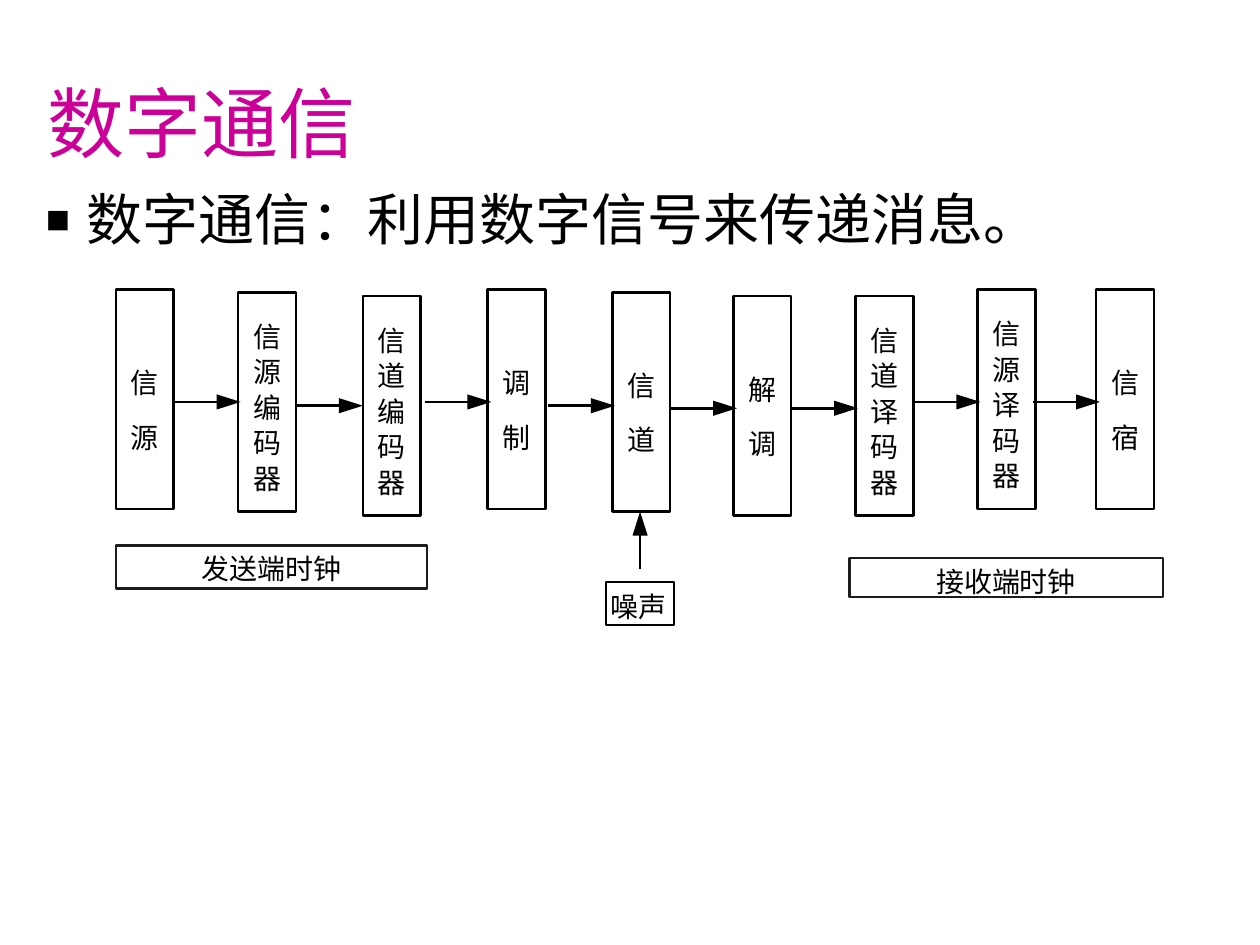
from dataclasses import dataclass

from lxml.etree import SubElement
from pptx import Presentation
from pptx.dml.color import RGBColor
from pptx.enum.shapes import MSO_CONNECTOR, MSO_SHAPE
from pptx.enum.text import MSO_ANCHOR, MSO_AUTO_SIZE, PP_ALIGN
from pptx.oxml.ns import qn
from pptx.util import Inches, Pt

BLACK, WHITE, MAGENTA, CHARCOAL = "000000", "FFFFFF", "CC0099", "1C1C1C"
DIAGRAM_FONT = "Noto Sans CJK SC"
STAGE_WIDTH, STAGE_HEIGHT, STAGE_SIDE_INSET = 0.46, 1.74, 0.1
HEAD_LENGTH, HEAD_HALF_WIDTH = 0.19, 0.06
FLOW_LENGTH, NOISE_LENGTH = 0.53, 0.46


@dataclass
class Stage:
    """One step of the communication chain, labelled one character per line."""

    label: str
    left: float
    top: float


@dataclass
class Label:
    """A captioned box beside the chain."""

    text: str
    left: float
    top: float
    width: float
    height: float
    outline: str
    top_inset: float = 0.05
    right_inset: float = 0


@dataclass
class Arrow:
    """An arrow given by its tip, length and direction."""

    tip_x: float
    tip_y: float
    length: float = FLOW_LENGTH
    upward: bool = False


STAGES = [
    Stage("信源", 0.92, 2.30),
    Stage("信源编码器", 1.89, 2.32),
    Stage("信道编码器", 2.88, 2.35),
    Stage("调制", 3.87, 2.30),
    Stage("信道", 4.86, 2.32),
    Stage("解调", 5.82, 2.35),
    Stage("信道译码器", 6.79, 2.35),
    Stage("信源译码器", 7.76, 2.30),
    Stage("信宿", 8.70, 2.30),
]
LABELS = [
    Label("噪声", 4.81, 4.62, 0.54, 0.34, BLACK, top_inset=0.06, right_inset=0.03),
    Label("发送端时钟", 0.92, 4.33, 2.47, 0.34, CHARCOAL),
    Label("接收端时钟", 6.74, 4.43, 2.49, 0.31, CHARCOAL),
]
ARROWS = [
    Arrow(1.91, 3.19),
    Arrow(2.88, 3.22),
    Arrow(3.90, 3.19),
    Arrow(4.88, 3.22),
    Arrow(5.85, 3.24),
    Arrow(6.81, 3.24),
    Arrow(7.78, 3.19),
    Arrow(8.73, 3.19),
    Arrow(5.08, 4.06, NOISE_LENGTH, upward=True),
]


def color(value: str) -> RGBColor:
    """Turn a hex string into a colour."""
    return RGBColor.from_string(value)


def write_text(shape, text: str, *, font: str, size: float, fill: str = BLACK,
               align=PP_ALIGN.LEFT, anchor=MSO_ANCHOR.TOP,
               insets=(0.1, 0.05, 0.1, 0.05), line_spacing=None):
    """Write one formatted paragraph into a shape and return it."""
    frame = shape.text_frame
    frame.word_wrap = True
    frame.auto_size = MSO_AUTO_SIZE.NONE
    frame.vertical_anchor = anchor
    (frame.margin_left, frame.margin_top,
     frame.margin_right, frame.margin_bottom) = map(Inches, insets)
    para = frame.paragraphs[0]
    para.alignment = align
    para.space_before = Pt(0)
    if line_spacing:
        para.line_spacing = line_spacing
    span = para.add_run()
    span.text = text
    span.font.name = font
    span.font.size = Pt(size)
    span.font.color.rgb = color(fill)
    return para


def place(shape, left: float, top: float, width: float, height: float) -> None:
    """Move and size a placeholder."""
    shape.left, shape.top = Inches(left), Inches(top)
    shape.width, shape.height = Inches(width), Inches(height)


def set_bullet(para, symbol: str, percent: int, indent: float) -> None:
    """Give a paragraph a hanging bullet."""
    properties = para._p.get_or_add_pPr()
    properties.set("marL", str(Inches(indent)))
    properties.set("indent", str(-Inches(indent)))
    SubElement(properties, qn("a:buSzPct"), val=str(percent * 1000))
    SubElement(properties, qn("a:buFont"), typeface="Arial")
    SubElement(properties, qn("a:buChar"), char=symbol)


def add_box(page, left: float, top: float, width: float, height: float, outline: str = BLACK):
    """Add a white outlined rectangle."""
    box = page.shapes.add_shape(MSO_SHAPE.RECTANGLE, *map(Inches, (left, top, width, height)))
    box.shadow.inherit = False
    box.fill.solid()
    box.fill.fore_color.rgb = color(WHITE)
    box.line.color.rgb = color(outline)
    box.line.width = Pt(1.5)
    return box


def add_stage(page, stage: Stage) -> None:
    """Add a tall box whose label runs downwards."""
    box = add_box(page, stage.left, stage.top, STAGE_WIDTH, STAGE_HEIGHT)
    top_inset, pitch = (0.44, 31) if len(stage.label) == 2 else (0.2, 20.3)
    write_text(box, stage.label, font=DIAGRAM_FONT, size=16, align=PP_ALIGN.CENTER,
               insets=(STAGE_SIDE_INSET, top_inset, STAGE_SIDE_INSET, 0),
               line_spacing=Pt(pitch))


def add_label(page, label: Label) -> None:
    """Add a wide box with a centred caption."""
    box = add_box(page, label.left, label.top, label.width, label.height, label.outline)
    write_text(box, label.text, font=DIAGRAM_FONT, size=16, align=PP_ALIGN.CENTER,
               insets=(0, label.top_inset, label.right_inset, 0))


def add_arrow(page, arrow: Arrow) -> None:
    """Draw a shaft and a long solid head."""
    def point(back: float, aside: float = 0) -> tuple[int, int]:
        """Locate a point behind the tip and beside the shaft."""
        across, down = (aside, back) if arrow.upward else (-back, aside)
        return Inches(arrow.tip_x + across), Inches(arrow.tip_y + down)

    shaft = page.shapes.add_connector(MSO_CONNECTOR.STRAIGHT, *point(arrow.length),
                                      *point(HEAD_LENGTH - 0.01))
    shaft.line.color.rgb = color(BLACK)
    shaft.line.width = Pt(1.5)
    SubElement(shaft._element.spPr, qn("a:effectLst"))

    builder = page.shapes.build_freeform(*point(HEAD_LENGTH, HEAD_HALF_WIDTH))
    builder.add_line_segments([point(0), point(HEAD_LENGTH, -HEAD_HALF_WIDTH)], close=True)
    head = builder.convert_to_shape()
    head.shadow.inherit = False
    head.fill.solid()
    head.fill.fore_color.rgb = color(BLACK)
    head.line.fill.background()


def main() -> None:
    """Build the slide and save it."""
    deck = Presentation()
    deck.slide_width, deck.slide_height = Inches(10), Inches(7.5)
    page = deck.slides.add_slide(deck.slide_layouts[1])

    title, body = page.shapes.title, page.placeholders[1]
    place(title, 0.28, 0.23, 9.5, 1.15)
    write_text(title, "数字通信", font="Karla", size=44, fill=MAGENTA, anchor=MSO_ANCHOR.BOTTOM)
    place(body, 0.25, 1.42, 9.08, 0.63)
    para = write_text(body, "数字通信：利用数字信号来传递消息。", font="Arial", size=32,
                      anchor=MSO_ANCHOR.MIDDLE)
    set_bullet(para, "▪", 140, 0.34)

    for stage in STAGES:
        add_stage(page, stage)
    for label in LABELS:
        add_label(page, label)
    for arrow in ARROWS:
        add_arrow(page, arrow)

    deck.save("out.pptx")


if __name__ == "__main__":
    main()
